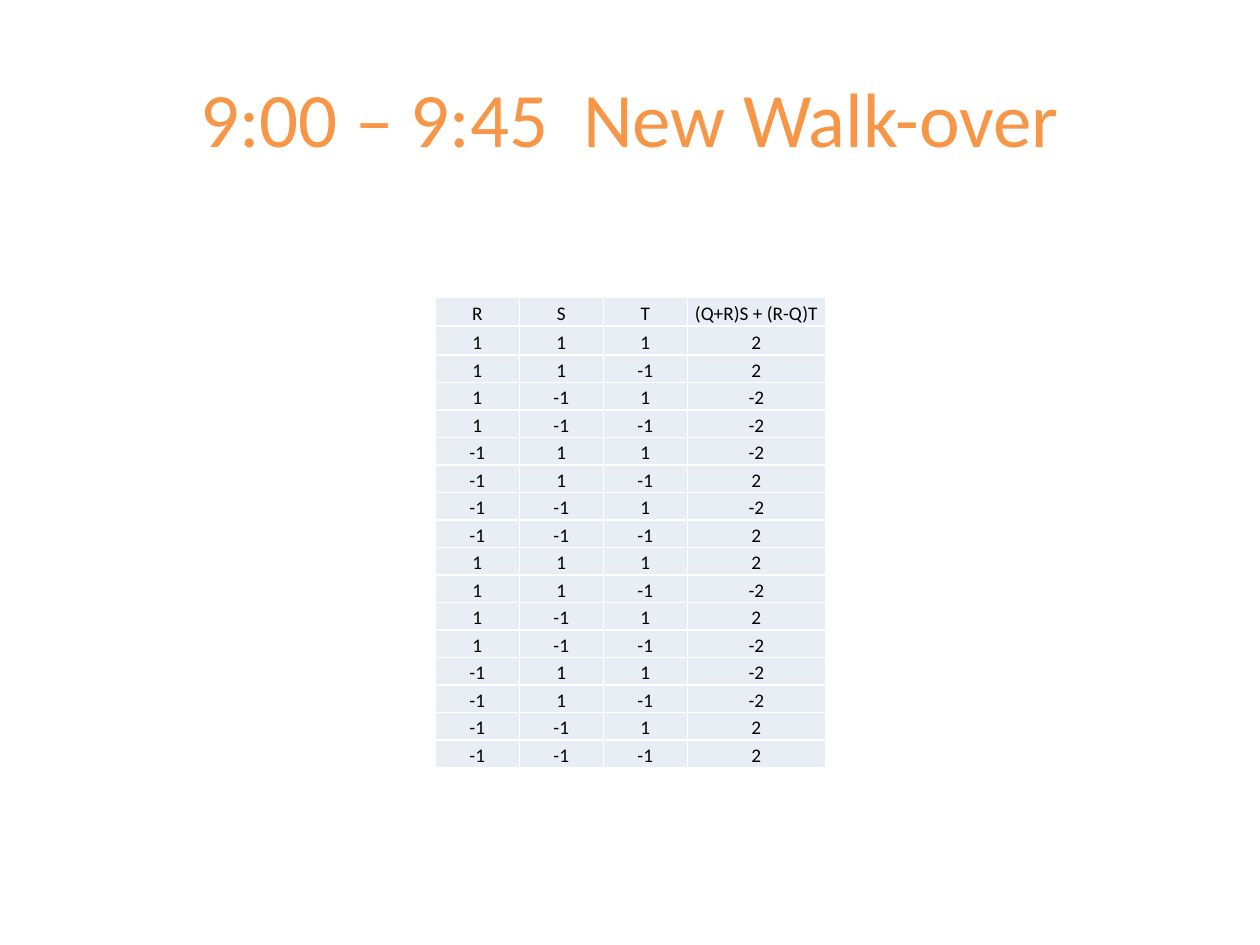
import itertools

import pptx
import pptx.dml.color
import pptx.enum.text
import pptx.oxml
import pptx.oxml.ns
import pptx.util

Pt = pptx.util.Pt
COLORS = {"title": "F79646", "text": "000000", "cell": "E9EDF4", "border": "FFFFFF"}
FONT = "Calibri"


def style_text(text_frame, size, color):
    """Centre the first paragraph and set the font of its runs."""
    paragraph = text_frame.paragraphs[0]
    paragraph.alignment = pptx.enum.text.PP_ALIGN.CENTER
    for run in paragraph.runs:
        run.font.name = FONT
        run.font.size = Pt(size)
        run.font.color.rgb = pptx.dml.color.RGBColor.from_string(COLORS[color])


def style_cell(cell):
    """Give a cell its fill, margins, anchor and thin borders."""
    cell.margin_left = cell.margin_right = cell.margin_top = Pt(0.75)
    cell.margin_bottom = Pt(0)
    cell.vertical_anchor = pptx.enum.text.MSO_ANCHOR.BOTTOM
    cell.fill.solid()
    cell.fill.fore_color.rgb = pptx.dml.color.RGBColor.from_string(COLORS["cell"])
    properties = cell._tc.get_or_add_tcPr()
    for position, side in enumerate(("lnL", "lnR", "lnT", "lnB")):
        properties.insert(position, pptx.oxml.parse_xml(
            f'<a:{side} {pptx.oxml.ns.nsdecls("a")} w="{Pt(1)}"><a:solidFill>'
            f'<a:srgbClr val="{COLORS["border"]}"/></a:solidFill></a:{side}>'))


presentation = pptx.Presentation()
presentation.slide_width = Pt(720)
presentation.slide_height = Pt(540)
slide = presentation.slides.add_slide(presentation.slide_layouts[6])

title = slide.shapes.add_textbox(Pt(36), Pt(21.6), Pt(648), Pt(90))
title.text_frame.word_wrap = True
title.text_frame.vertical_anchor = pptx.enum.text.MSO_ANCHOR.MIDDLE
title.text_frame.text = "9:00 – 9:45  New Walk-over"
style_text(title.text_frame, 44, "title")

# The eight R, S, T combinations appear twice, with different results.
results = [2, 2, -2, -2, -2, 2, -2, 2, 2, -2, 2, -2, -2, -2, 2, 2]
combinations = list(itertools.product((1, -1), repeat=3)) * 2
rows = [("R", "S", "T", "(Q+R)S + (R-Q)T")]
rows += [(*signs, result) for signs, result in zip(combinations, results)]

column_widths = [48, 48, 48, 79]
row_heights = [16.5] * 2 + [15.75] * 15
table = slide.shapes.add_table(
    len(rows), len(column_widths), Pt(248.75), Pt(169.75),
    Pt(sum(column_widths)), Pt(sum(row_heights))).table
table.first_row = False
table.horz_banding = False
for column, width in zip(table.columns, column_widths):
    column.width = Pt(width)
for row, height, values in zip(table.rows, row_heights, rows):
    row.height = Pt(height)
    for cell, value in zip(row.cells, values):
        cell.text_frame.text = str(value)
        style_text(cell.text_frame, 11, "text")
        style_cell(cell)

presentation.save("out.pptx")
